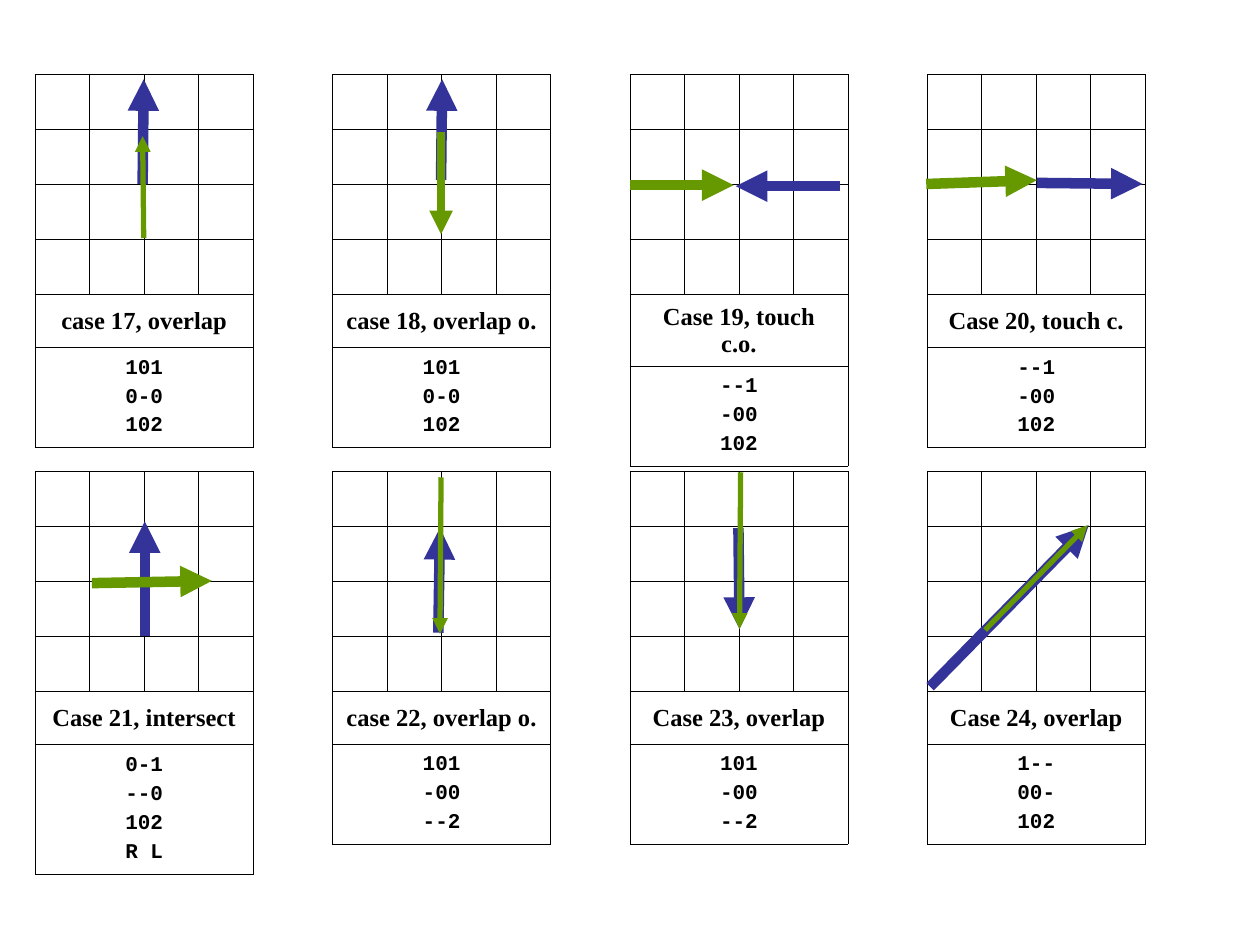
from typing import NamedTuple

from lxml import etree
from pptx import Presentation
from pptx.dml.color import RGBColor
from pptx.enum.shapes import MSO_CONNECTOR
from pptx.enum.text import MSO_ANCHOR, PP_ALIGN
from pptx.oxml.ns import qn
from pptx.util import Inches, Pt

STRAIGHT = MSO_CONNECTOR.STRAIGHT
CENTER = PP_ALIGN.CENTER
MIDDLE = MSO_ANCHOR.MIDDLE


class Theme(NamedTuple):
    ink: str = "000000"
    blue: str = "333399"
    green: str = "669900"
    label_font: str = "Times New Roman"
    label_size: float = 14
    code_font: str = "Courier New"
    code_size: float = 12
    border: float = 0.45


class Arrow(NamedTuple):
    """Start and end in grid cells from the corner of its case."""
    start: tuple[float, float]
    end: tuple[float, float]
    color: str
    width: float = 6


class Case(NamedTuple):
    label: str
    code: str
    arrows: tuple[Arrow, ...]
    label_high: float = 0.42


THEME = Theme()
BLUE, GREEN = THEME.blue, THEME.green

# Layout in inches: cases stand in a grid, each with 4 x 4 cells
COUNT = 4
LEFT, TOP = 0.28, 0.59
STEP_X, STEP_Y = 2.36, 3.15
WIDE, HIGH = 1.73, 1.75
CELL_X, CELL_Y = WIDE / COUNT, HIGH / COUNT
CODE_PAD, CODE_LINE = 0.07, 0.24

CASES = (
    Case("case 17, overlap", "101\n0-0\n102", (
        Arrow((1.97, 1.99), (1.99, 0.09), BLUE),
        Arrow((1.99, 2.97), (1.97, 1.12), GREEN, 3))),
    Case("case 18, overlap o.", "101\n0-0\n102", (
        Arrow((1.99, 1.92), (2.01, 0.09), BLUE),
        Arrow((1.99, 1.05), (1.99, 2.9), GREEN, 4.5))),
    Case("Case 19, touch c.o.", "--1\n-00\n102", (
        Arrow((3.86, 2.03), (1.94, 2.03), BLUE),
        Arrow((0, 2.01), (1.9, 2.01), GREEN)), label_high=0.57),
    Case("Case 20, touch c.", "--1\n-00\n102", (
        Arrow((2.01, 1.97), (3.95, 1.99), BLUE),
        Arrow((-0.02, 1.99), (2.01, 1.92), GREEN))),
    Case("Case 21, intersect", "0-1\n--0\n102\nR L", (
        Arrow((2.01, 2.99), (2.01, 0.91), BLUE),
        Arrow((1.04, 2.03), (3.24, 1.99), GREEN))),
    Case("case 22, overlap o.", "101\n-00\n--2", (
        Arrow((1.94, 2.93), (1.97, 1.03), BLUE),
        Arrow((1.99, 0.11), (1.97, 2.95), GREEN, 3))),
    Case("Case 23, overlap", "101\n-00\n--2", (
        Arrow((1.99, 1.03), (2.01, 2.86), BLUE),
        Arrow((2.03, 0.02), (2.01, 2.86), GREEN, 3))),
    Case("Case 24, overlap", "1--\n00-\n102", (
        Arrow((0.05, 3.91), (2.96, 0.98), BLUE),
        Arrow((1.06, 2.88), (2.94, 0.98), GREEN, 3))),
)


def write(cell, text: str, *, font: str, size: float, before: float) -> None:
    """Fill a cell with bold centred lines."""
    cell.vertical_anchor = MIDDLE
    frame = cell.text_frame
    frame.text = text
    for para in frame.paragraphs:
        para.alignment = CENTER
        para.space_before = Pt(before)
        style = para.runs[0].font
        style.name, style.size, style.bold = font, Pt(size), True
        style.color.rgb = RGBColor.from_string(THEME.ink)


def frame_cell(cell) -> None:
    """Clear the fill and rule all four sides."""
    cell.fill.background()
    props = cell._tc.get_or_add_tcPr()
    for place, side in enumerate(("a:lnL", "a:lnR", "a:lnT", "a:lnB")):
        line = etree.Element(qn(side), w=str(Pt(THEME.border)))
        fill = etree.SubElement(line, qn("a:solidFill"))
        etree.SubElement(fill, qn("a:srgbClr"), val=THEME.ink)
        props.insert(place, line)


def draw_table(slide, case: Case, left: float, top: float) -> None:
    code_high = CODE_PAD + CODE_LINE * len(case.code.splitlines())
    highs = [CELL_Y] * COUNT + [case.label_high, code_high]
    table = slide.shapes.add_table(
        len(highs), COUNT, Inches(left), Inches(top),
        Inches(WIDE), Inches(sum(highs))).table
    table.first_row = table.horz_banding = False
    for row, high in zip(table.rows, highs):
        row.height = Inches(high)
    for cell in table.iter_cells():
        frame_cell(cell)
    # Label and code each span the full width
    for row in (COUNT, COUNT + 1):
        table.cell(row, 0).merge(table.cell(row, COUNT - 1))
    write(table.cell(COUNT, 0), case.label, font=THEME.label_font,
          size=THEME.label_size, before=3.5)
    write(table.cell(COUNT + 1, 0), case.code, font=THEME.code_font,
          size=THEME.code_size, before=3)


def draw_arrow(slide, arrow: Arrow, left: float, top: float) -> None:
    ends = [Inches(base + share * unit)
            for point in (arrow.start, arrow.end)
            for base, share, unit in zip((left, top), point, (CELL_X, CELL_Y))]
    link = slide.shapes.add_connector(STRAIGHT, *ends)
    link.line.color.rgb = RGBColor.from_string(arrow.color)
    link.line.width = Pt(arrow.width)
    etree.SubElement(link.line._get_or_add_ln(), qn("a:tailEnd"), type="triangle")
    etree.SubElement(link._element.spPr, qn("a:effectLst"))


def main() -> None:
    deck = Presentation()
    deck.slide_width, deck.slide_height = Inches(10), Inches(7.5)
    slide = deck.slides.add_slide(deck.slide_layouts[6])
    for index, case in enumerate(CASES):
        row, col = divmod(index, COUNT)
        left, top = LEFT + col * STEP_X, TOP + row * STEP_Y
        draw_table(slide, case, left, top)
        for arrow in case.arrows:
            draw_arrow(slide, arrow, left, top)
    deck.save("out.pptx")


if __name__ == "__main__":
    main()
